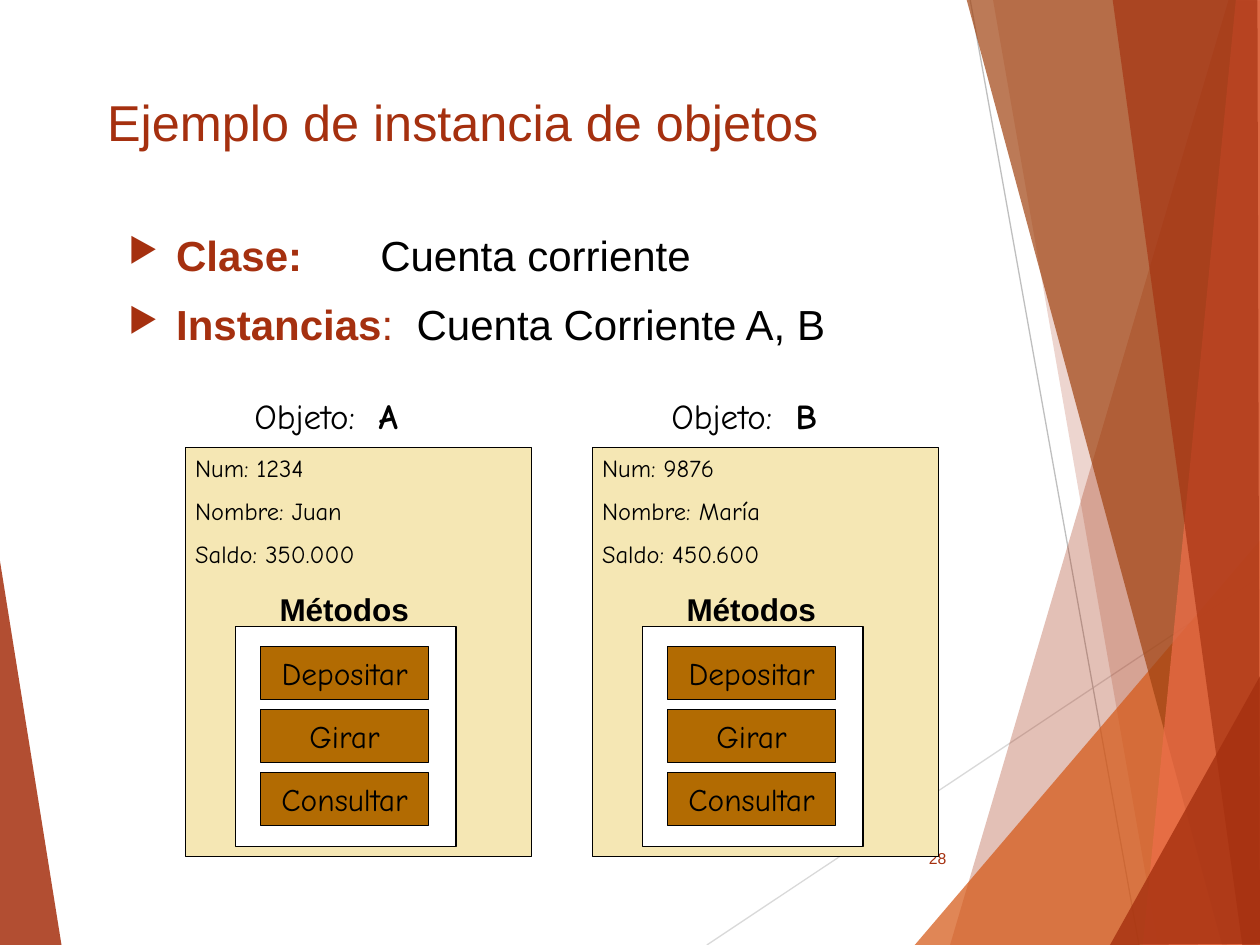
from dataclasses import dataclass

from lxml import etree
from pptx import Presentation
from pptx import util as u
from pptx.dml.color import RGBColor
from pptx.enum import shapes, text
from pptx.oxml import ns

PX = 9144
RUST, BLACK, WHITE = "A5300F", "000000", "FFFFFF"
CREAM, OCHRE = "F5E7B4", "B26B02"
SANS, HAND = "Arial", "Comic Neue"


@dataclass(frozen=True)
class Facet:
    points: tuple[tuple[int, int], ...]
    color: str
    opacity: int


@dataclass(frozen=True)
class Ray:
    start: tuple[int, int]
    end: tuple[int, int]
    color: str


@dataclass(frozen=True)
class Account:
    letter: str
    left: int
    heading_left: int
    fields: tuple[str, ...]


@dataclass(frozen=True)
class Piece:
    words: str
    color: str = BLACK
    bold: bool = False


LEFT_FACET = Facet(((-1, 439), (49, 751), (-1, 750)), RUST, 85)
RAYS = (
    Ray((561, 750), (1001, 457), "D9D9D9"),
    Ray((770, 0), (904, 750), "BFBFBF"),
)
RIGHT_FACETS = (
    Facet(((975, 0), (754, 750), (1002, 751), (1001, 1)), RUST, 30),
    Facet(((788, -1), (919, 750), (1001, 750), (1001, -1)), RUST, 20),
    Facet(((726, 750), (1000, 429), (1001, 750)), "D55816", 72),
    Facet(((767, -1), (970, 750), (1001, 749), (1001, -1)), "A04210", 70),
    Facet(((981, -1), (907, 750), (1001, 750), (1000, -1)), "EE6E4A", 70),
    Facet(((883, -1), (986, 750), (1000, 750), (998, -1)), RUST, 65),
    Facet(((881, 750), (1001, 535), (1001, 749)), RUST, 80),
)
DEFINITIONS = (
    (Piece("Clase:  \t", RUST, True), Piece("Cuenta corriente")),
    (
        Piece("Instancias", RUST, True),
        Piece(":  ", RUST),
        Piece("Cuenta Corriente A, B"),
    ),
)
ACCOUNTS = (
    Account("A", 147, 192, ("Num: 1234", "Nombre: Juan", "Saldo: 350.000")),
    Account("B", 470, 523, ("Num: 9876", "Nombre: María", "Saldo: 450.600")),
)
METHODS = ("Depositar", "Girar", "Consultar")


def emu(px: int) -> u.Emu:
    return u.Emu(px * PX)


def rgb(color: str) -> RGBColor:
    return RGBColor.from_string(color)


def style(font, size: float, name: str, color: str | None = BLACK) -> None:
    font.size, font.name = u.Pt(size), name
    if color:
        font.color.rgb = rgb(color)


def add_pieces(paragraph, pieces: tuple[Piece, ...]) -> None:
    for piece in pieces:
        run = paragraph.add_run()
        run.text = piece.words
        run.font.bold = piece.bold
        run.font.color.rgb = rgb(piece.color)


def add_frame(slide, left: int, top: int, width: int, height: int):
    frame = slide.shapes.add_textbox(*map(emu, (left, top, width, height))).text_frame
    frame.word_wrap = True
    return frame


def add_facet(slide, facet: Facet) -> None:
    builder = slide.shapes.build_freeform(*facet.points[0], scale=PX)
    builder.add_line_segments(facet.points[1:], close=True)
    shard = builder.convert_to_shape()
    shard.shadow.inherit = False
    shard.fill.solid()
    shard.fill.fore_color.rgb = rgb(facet.color)
    shard.line.fill.background()
    tint = shard.fill._xPr.find(".//" + ns.qn("a:srgbClr"))
    etree.SubElement(tint, ns.qn("a:alpha"), val=str(facet.opacity * 1000))


def add_ray(slide, ray: Ray) -> None:
    line = slide.shapes.add_connector(
        shapes.MSO_CONNECTOR.STRAIGHT, *map(emu, ray.start + ray.end)
    )
    line.line.color.rgb = rgb(ray.color)
    line.line.width = u.Pt(0.75)
    etree.SubElement(line._element.spPr, ns.qn("a:effectLst"))


def add_box(slide, left: int, top: int, width: int, height: int, color: str):
    box = slide.shapes.add_shape(
        shapes.MSO_SHAPE.RECTANGLE, *map(emu, (left, top, width, height))
    )
    box.shadow.inherit = False
    box.fill.solid()
    box.fill.fore_color.rgb = rgb(color)
    box.line.color.rgb = rgb(BLACK)
    box.line.width = u.Pt(0.75)
    return box


def add_bullet(paragraph) -> None:
    props = paragraph._p.get_or_add_pPr()
    props.set("marL", str(emu(38)))
    props.set("indent", str(emu(-38)))
    tint = etree.SubElement(props, ns.qn("a:buClr"))
    etree.SubElement(tint, ns.qn("a:srgbClr"), val=RUST)
    etree.SubElement(props, ns.qn("a:buSzPct"), val="80000")
    etree.SubElement(props, ns.qn("a:buChar"), char="▶")


def add_definitions(slide) -> None:
    frame = add_frame(slide, 92, 177, 850, 537)
    for index, pieces in enumerate(DEFINITIONS):
        paragraph = frame.add_paragraph() if index else frame.paragraphs[0]
        add_bullet(paragraph)
        if index:
            paragraph.space_before = u.Pt(11)
        style(paragraph.font, 24, SANS, None)
        add_pieces(paragraph, pieces)


def add_method(slide, left: int, top: int, name: str) -> None:
    button = add_box(slide, left, top, 133, 42, OCHRE)
    frame = button.text_frame
    frame.word_wrap = False
    frame.vertical_anchor = text.MSO_ANCHOR.MIDDLE
    paragraph = frame.paragraphs[0]
    paragraph.text = name
    paragraph.alignment = text.PP_ALIGN.CENTER
    style(paragraph.font, 18, HAND)


def add_account(slide, account: Account) -> None:
    heading = add_frame(slide, account.heading_left, 308, 173, 43).paragraphs[0]
    style(heading.font, 20, HAND)
    add_pieces(heading, (Piece("Objeto:  "), Piece(account.letter, bold=True)))

    add_box(slide, account.left, 355, 275, 325, CREAM)
    methods = add_frame(slide, account.left + 65, 463, 125, 40).paragraphs[0]
    methods.text = "Métodos"
    style(methods.font, 18, SANS)
    methods.font.bold = True

    add_box(slide, account.left + 40, 497, 175, 175, WHITE)
    for index, name in enumerate(METHODS):
        add_method(slide, account.left + 60, 513 + 50 * index, name)

    fields = add_frame(slide, account.left - 2, 355, 292, 103)
    for index, words in enumerate(account.fields):
        paragraph = fields.add_paragraph() if index else fields.paragraphs[0]
        paragraph.text = words
        if index:
            paragraph.space_before = u.Pt(7.5)
        style(paragraph.font, 14, HAND)


def add_title(slide) -> None:
    title = slide.shapes.title
    title.left, title.top, title.width, title.height = map(emu, (75, 64, 875, 61))
    title.text_frame.vertical_anchor = text.MSO_ANCHOR.BOTTOM
    paragraph = title.text_frame.paragraphs[0]
    paragraph.text = "Ejemplo de instancia de objetos"
    paragraph.alignment = text.PP_ALIGN.LEFT
    style(paragraph.font, 28.8, SANS, RUST)


def add_page_number(slide) -> None:
    frame = add_frame(slide, 705, 661, 56, 40)
    frame.vertical_anchor = text.MSO_ANCHOR.MIDDLE
    paragraph = frame.paragraphs[0]
    paragraph.text = "28"
    paragraph.alignment = text.PP_ALIGN.RIGHT
    style(paragraph.font, 9, SANS, RUST)


def main() -> None:
    deck = Presentation()
    deck.slide_width, deck.slide_height = emu(1000), emu(750)
    slide = deck.slides.add_slide(deck.slide_layouts[5])
    add_facet(slide, LEFT_FACET)
    for ray in RAYS:
        add_ray(slide, ray)
    for facet in RIGHT_FACETS:
        add_facet(slide, facet)
    add_title(slide)
    add_definitions(slide)
    add_page_number(slide)
    for account in ACCOUNTS:
        add_account(slide, account)
    deck.save("out.pptx")


if __name__ == "__main__":
    main()
